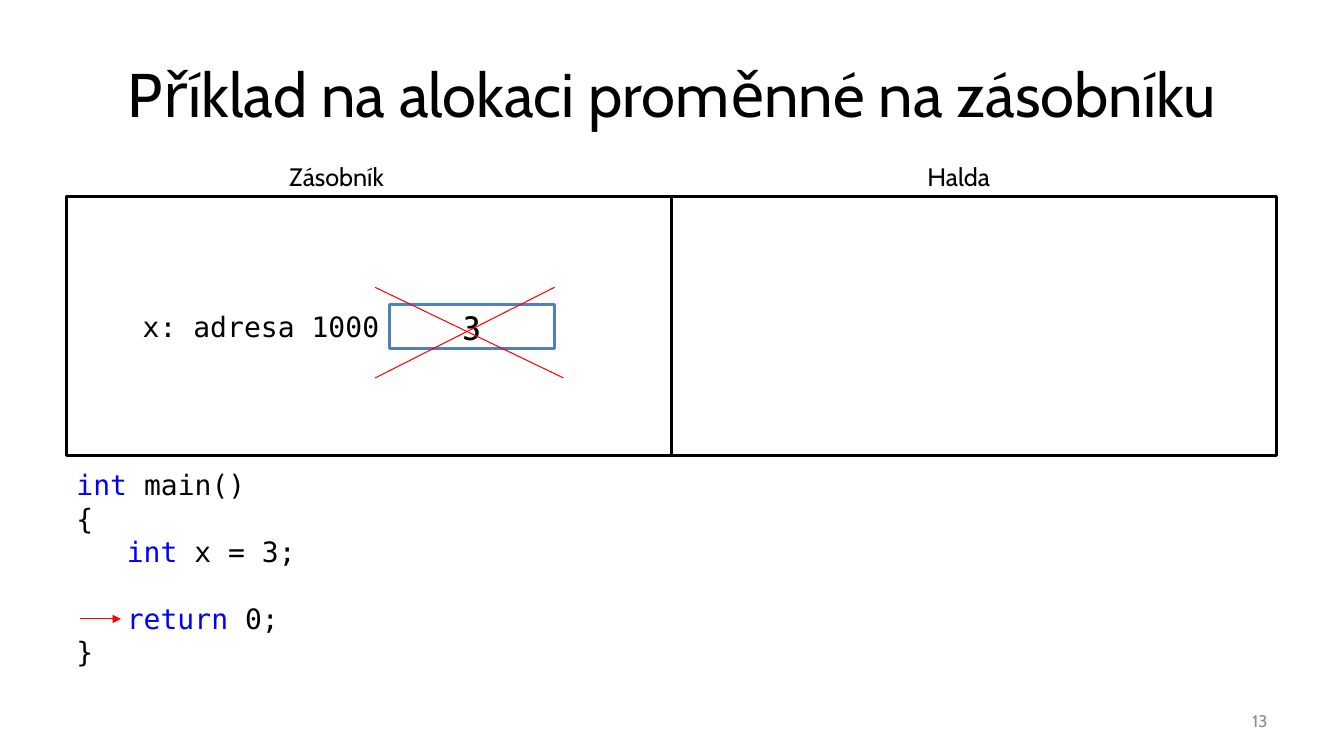
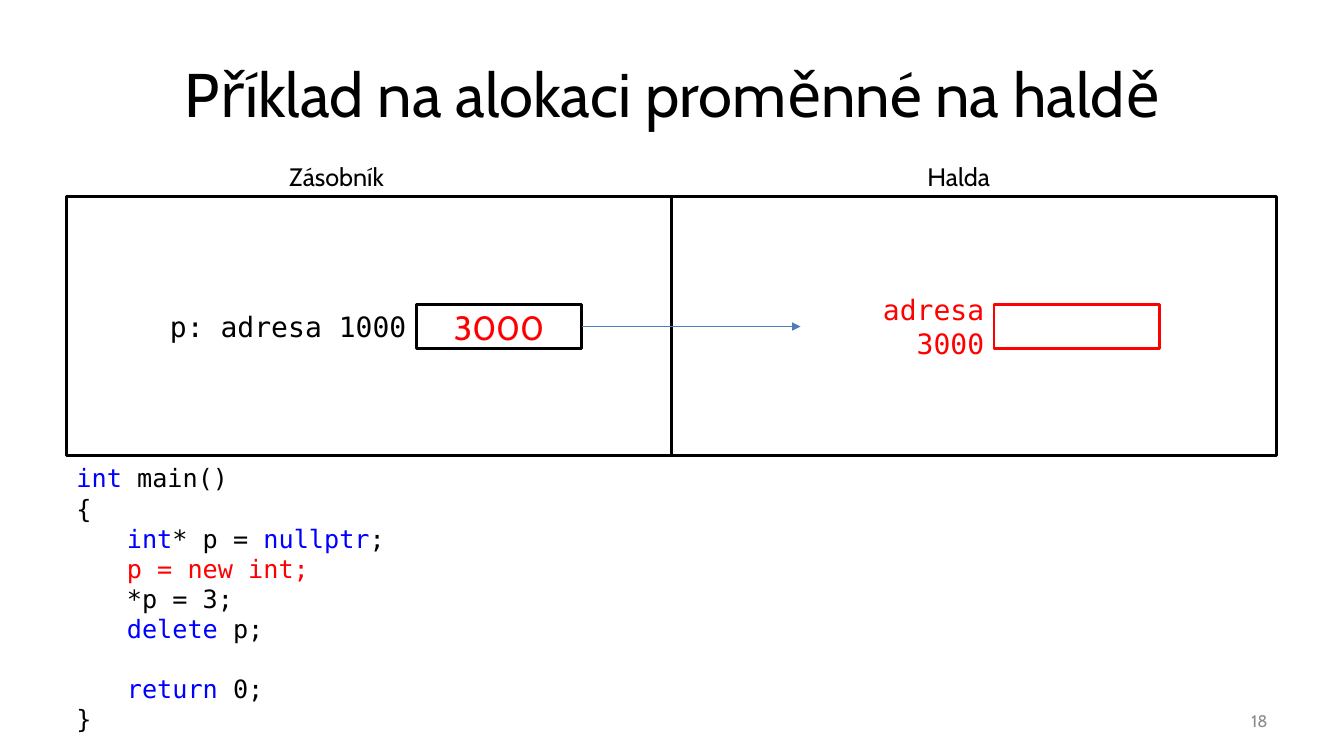
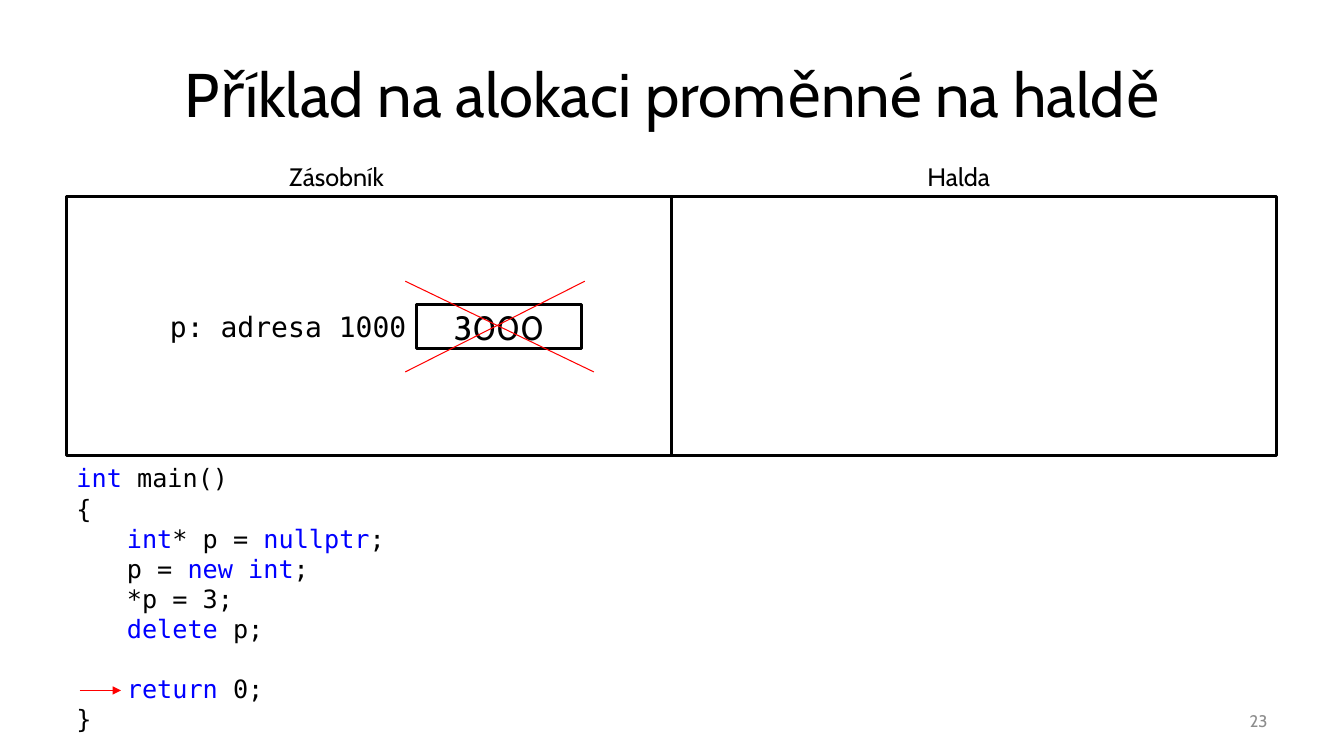
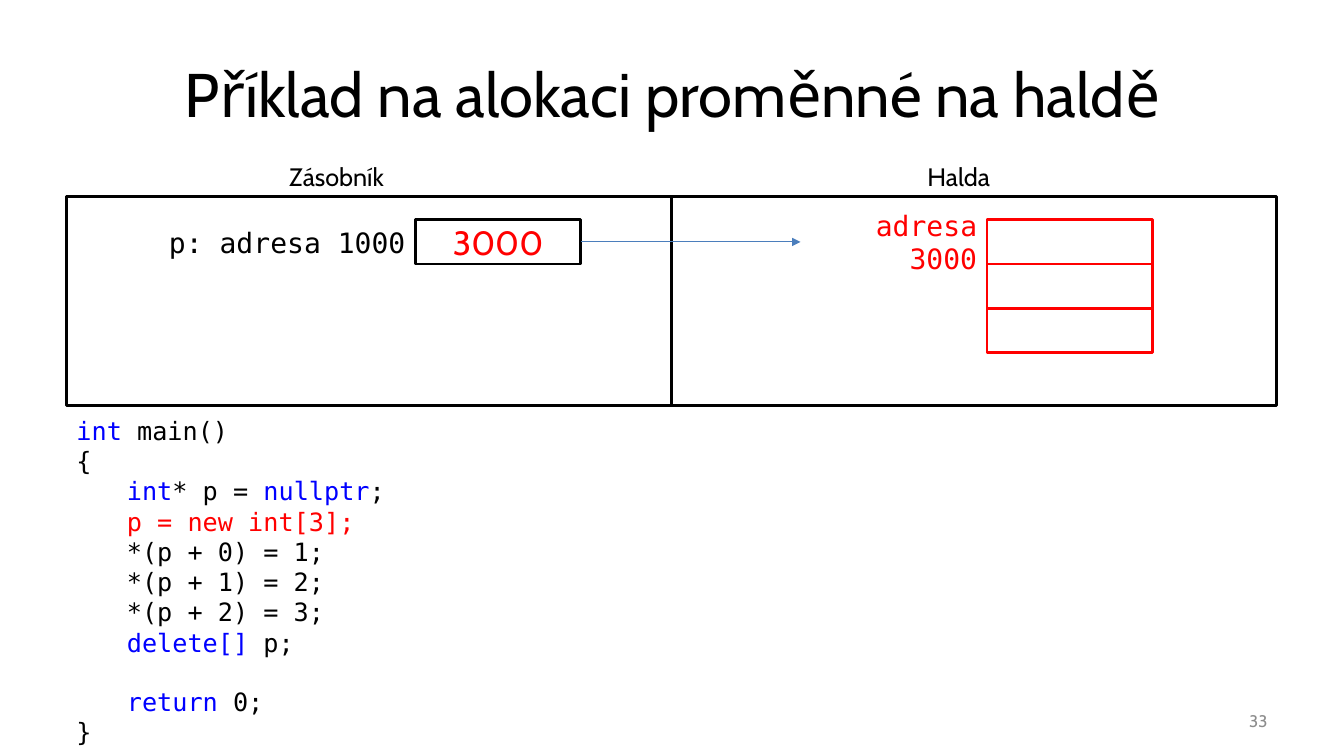
from pptx import Presentation
from pptx.dml.color import RGBColor
from pptx.enum import shapes, text
from pptx.oxml.ns import qn
from pptx.util import Inches, Pt
from lxml import etree

SANS, MONO = "Cabin", "DejaVu Sans Mono"
BLACK, WHITE, RED, GREY = "000000", "FFFFFF", "FF0000", "8C8C8C"
KEYWORD, BLUE, POINTER = "0000FF", "4F81BD", "4B7EBC"
LEFT, CENTER, RIGHT = text.PP_ALIGN.LEFT, text.PP_ALIGN.CENTER, text.PP_ALIGN.RIGHT
TOP, MIDDLE = text.MSO_ANCHOR.TOP, text.MSO_ANCHOR.MIDDLE
PANEL_X, PANEL_Y, PANEL_W = 0.66, 1.95, 6
CELL_W, CELL_H = 1.64, 0.44
MONO_LINE = 1.164

MAIN_OPEN = [(0, [("int ", KEYWORD), ("main()", BLACK)]), (0, [("{", BLACK)])]
MAIN_CLOSE = [(1, [("return", KEYWORD), (" 0;", BLACK)]), (0, [("}", BLACK)])]
DECLARE_P = (1, [("int", KEYWORD), ("* p = ", BLACK), ("nullptr", KEYWORD), (";", BLACK)])
STORE_P = (1, [("*p = 3;", BLACK)])
DELETE_P = (1, [("delete", KEYWORD), (" p;", BLACK)])


def rgb(color):
    """Turn a hex string into a colour."""
    return RGBColor.from_string(color)


def add_run(p, content, size, font, color):
    """Add one formatted run to a paragraph."""
    r = p.add_run()
    r.text = content
    r.font.size, r.font.name = Pt(size), font
    r.font.color.rgb = rgb(color)


def write(sp, content, size, font, color, align=LEFT, anchor=TOP):
    """Write a single paragraph into a shape."""
    tf = sp.text_frame
    tf.word_wrap, tf.vertical_anchor = True, anchor
    tf.auto_size = text.MSO_AUTO_SIZE.NONE
    p = tf.paragraphs[0]
    p.alignment = align
    add_run(p, content, size, font, color)


def textbox(s, x, y, w, h, *style):
    """Add a text box holding one paragraph."""
    sp = s.shapes.add_textbox(Inches(x), Inches(y), Inches(w), Inches(h))
    write(sp, *style)
    return sp


def rect(s, x, y, w, h, color):
    """Add a white rectangle with a coloured outline."""
    sp = s.shapes.add_shape(shapes.MSO_SHAPE.RECTANGLE, Inches(x), Inches(y), Inches(w), Inches(h))
    sp.shadow.inherit = False
    sp.fill.solid()
    sp.fill.fore_color.rgb = rgb(WHITE)
    sp.line.color.rgb = rgb(color)
    sp.line.width = Pt(2)
    return sp


def line(s, x1, y1, x2, y2, color, arrow=False):
    """Add a thin straight line, with an arrowhead at its end if asked."""
    sp = s.shapes.add_connector(
        shapes.MSO_CONNECTOR.STRAIGHT, Inches(x1), Inches(y1), Inches(x2), Inches(y2))
    sp.line.color.rgb = rgb(color)
    sp.line.width = Pt(0.75)
    if arrow:
        etree.SubElement(sp.line._get_or_add_ln(), qn("a:tailEnd"), type="triangle")
    etree.SubElement(sp._element.spPr, qn("a:effectLst"))
    return sp


def base_slide(prs, title, number, panel_h=2.57):
    """Add a slide with its title, number and the two memory panels."""
    s = prs.slides.add_slide(prs.slide_layouts[5])
    sp = s.shapes.title
    sp.left, sp.top, sp.width, sp.height = Inches(0.67), Inches(0.3), Inches(12), Inches(1.25)
    write(sp, title, 44, SANS, BLACK, CENTER, MIDDLE)
    textbox(s, 9.56, 6.95, 3.11, 0.4, str(number), 12, SANS, GREY, RIGHT, MIDDLE)
    for i, (name, x, w) in enumerate([("Zásobník", 2.77, 1.21), ("Halda", 9.1, 0.9)]):
        rect(s, PANEL_X + i * PANEL_W, PANEL_Y, PANEL_W, panel_h, BLACK)
        textbox(s, x, PANEL_Y - 0.4, w, 0.4, name, 18, SANS, BLACK)
    return s


def cell_label(s, x, y, w, content, color):
    """Put an address label to the left of a memory cell starting at x."""
    return textbox(s, x - w, y, w, CELL_H, content, 20, MONO, color, RIGHT, MIDDLE)


def stack_cell(s, x, y, name, value, color=BLACK, outline=BLACK):
    """Add a variable on the stack: its label and the cell with its value."""
    sp = rect(s, x, y, CELL_W, CELL_H, outline)
    write(sp, value, 24, SANS, color, CENTER, MIDDLE)
    cell_label(s, x, y, 2.58, f"{name}: adresa 1000", BLACK)
    return sp


def heap_cells(s, x, y, count=1):
    """Add a block of empty cells on the heap and return its label."""
    for i in range(count):
        rect(s, x, y + i * CELL_H, CELL_W, CELL_H, RED)
    return cell_label(s, x, y, 1.92, "adresa 3000", RED)


def pointer(s, cell, y):
    """Draw the arrow from a stack cell towards the heap."""
    sp = line(s, 5.78, y, 7.94, y, POINTER, True)
    sp.begin_connect(cell, 3)
    return sp


def cross_out(s, x, y):
    """Cross out a cell that is no longer valid."""
    line(s, x, y, x + 1.87, y + 0.9, RED)
    line(s, x, y + 0.9, x + 1.78, y, RED)


def code(s, y, h, size, body):
    """Write the main function, with a gap of one line before its return."""
    sp = s.shapes.add_textbox(Inches(0.66), Inches(y), Inches(12), Inches(h))
    tf = sp.text_frame
    tf.word_wrap = True
    for i, (level, runs) in enumerate(MAIN_OPEN + body + MAIN_CLOSE):
        p = tf.add_paragraph() if i else tf.paragraphs[0]
        p.level = level
        pPr = p._p.get_or_add_pPr()
        pPr.set("marL", str(Inches(0.5 * level)))
        pPr.set("indent", "0")
        if runs == MAIN_CLOSE[0][1]:
            p.space_before = Pt(round(size * MONO_LINE, 1))
        for content, color in runs:
            add_run(p, content, size, MONO, color)


def step_arrow(s, y):
    """Mark the line of code being executed."""
    line(s, 0.79, y, 1.2, y, RED, True)


def stack_end(prs):
    """Build the slide where a stack variable goes out of scope."""
    s = base_slide(prs, "Příklad na alokaci proměnné na zásobníku", 13)
    stack_cell(s, 3.86, 3.02, "x", "3", outline=BLUE)
    code(s, 4.59, 2.12, 20, [(1, [("int", KEYWORD), (" x = 3;", BLACK)])])
    step_arrow(s, 6.14)
    cross_out(s, 3.72, 2.85)


def heap_new(prs, title):
    """Build the slide where one number is allocated on the heap."""
    s = base_slide(prs, title, 18)
    cell = stack_cell(s, 4.13, 3.02, "p", "3000", RED)
    label = heap_cells(s, 9.86, 3.02)
    allocate = (1, [("p = new int;", RED)])
    code(s, 4.54, 2.83, 18, [DECLARE_P, allocate, STORE_P, DELETE_P])
    pointer(s, cell, 3.24).end_connect(label, 1)


def heap_end(prs, title):
    """Build the slide where the pointer goes out of scope."""
    s = base_slide(prs, title, 23)
    stack_cell(s, 4.13, 3.02, "p", "3000")
    allocate = (1, [("p = ", BLACK), ("new int", KEYWORD), (";", BLACK)])
    code(s, 4.54, 2.83, 18, [DECLARE_P, allocate, STORE_P, DELETE_P])
    step_arrow(s, 6.85)
    cross_out(s, 4.02, 2.79)


def heap_array(prs, title):
    """Build the slide where an array is allocated on the heap."""
    s = base_slide(prs, title, 33, 2.07)
    cell = stack_cell(s, 4.12, 2.18, "p", "3000", RED)
    heap_cells(s, 9.79, 2.18, 3)
    pointer(s, cell, 2.4)
    allocate = (1, [("p = new int[3];", RED)])
    stores = [(1, [(f"*(p + {i}) = {i + 1};", BLACK)]) for i in range(3)]
    delete = (1, [("delete[]", KEYWORD), (" p;", BLACK)])
    code(s, 4.07, 3.43, 18, [DECLARE_P, allocate, *stores, delete])


def main():
    """Build the deck and save it."""
    prs = Presentation()
    prs.slide_width, prs.slide_height = Inches(13.33), Inches(7.5)
    stack_end(prs)
    for build in (heap_new, heap_end, heap_array):
        build(prs, "Příklad na alokaci proměnné na haldě")
    prs.save("out.pptx")


if __name__ == "__main__":
    main()
